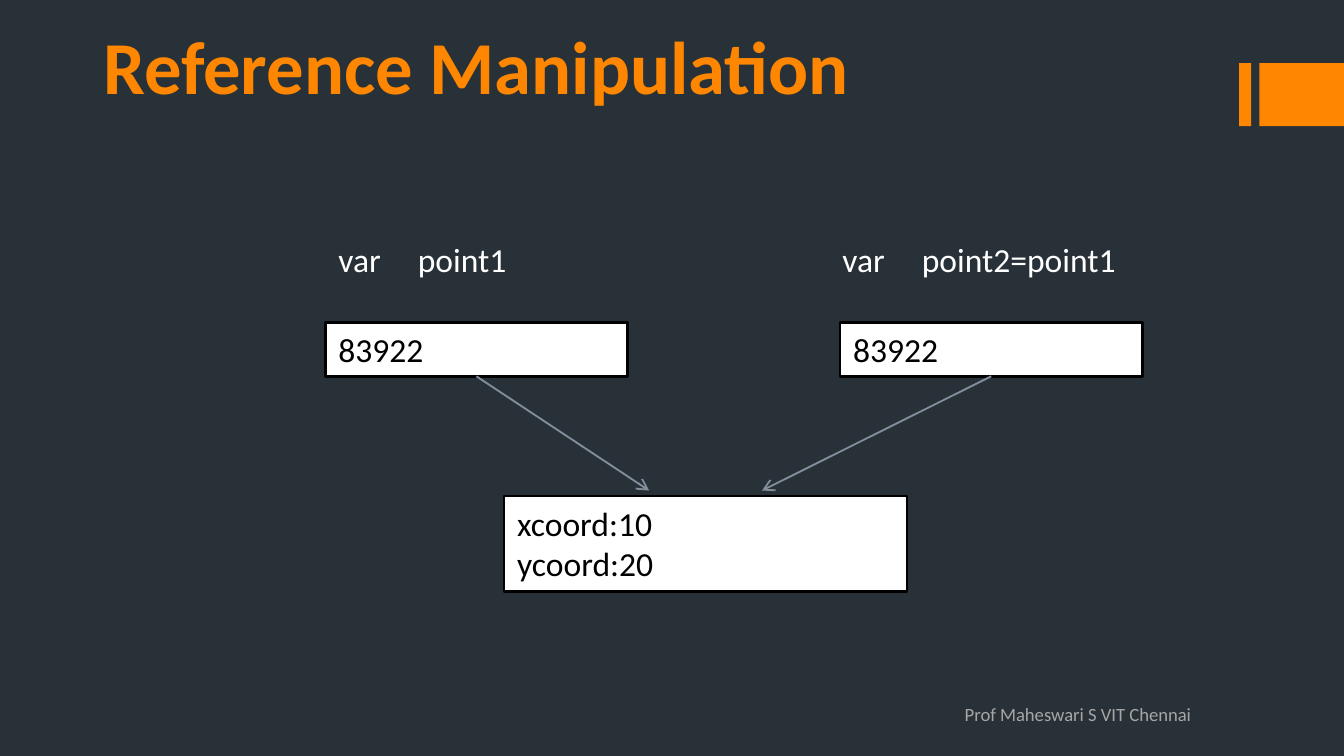
"""Build the slide on reference manipulation."""
from lxml.etree import SubElement
from pptx import Presentation
from pptx.dml.color import RGBColor
from pptx.enum.shapes import MSO_CONNECTOR, MSO_SHAPE
from pptx.enum.text import MSO_ANCHOR, PP_ALIGN
from pptx.oxml.ns import qn
from pptx.util import Inches, Pt

DARK = RGBColor(0x28, 0x31, 0x38)
ORANGE = RGBColor(0xFF, 0x86, 0x00)
WHITE = RGBColor(0xFF, 0xFF, 0xFF)
BLACK = RGBColor(0x00, 0x00, 0x00)
STEEL = RGBColor(0x83, 0x8D, 0x9B)
GREY = RGBColor(0xA6, 0xA6, 0xA6)

FRAME = {
    "word_wrap": True,
    "vertical_anchor": MSO_ANCHOR.TOP,
    "margin_left": Inches(0.1),
    "margin_right": Inches(0.1),
    "margin_top": Inches(0.05),
    "margin_bottom": Inches(0.05),
}
BODY = {"name": "Calibri", "size": Pt(18), "bold": False}
TITLE = BODY | {"size": Pt(40), "bold": True}
FOOT = BODY | {"size": Pt(10)}


def write(shape, lines, color, font=BODY, **frame):
    text = shape.text_frame
    for key, value in (FRAME | frame).items():
        setattr(text, key, value)
    text.text = "\n".join(lines)
    for para in text.paragraphs:
        para.alignment = PP_ALIGN.LEFT
        for run in para.runs:
            for key, value in font.items():
                setattr(run.font, key, value)
            run.font.color.rgb = color


def block(place, fill, edge=None):
    shape = slide.shapes.add_shape(MSO_SHAPE.RECTANGLE, *map(Inches, place))
    shape.shadow.inherit = False
    shape.fill.solid()
    shape.fill.fore_color.rgb = fill
    if edge is None:
        shape.line.fill.background()
    else:
        shape.line.color.rgb = edge
        shape.line.width = Pt(1.5)
    return shape


deck = Presentation()
deck.slide_width = Inches(10)
deck.slide_height = deck.slide_width * 9 // 16
slide = deck.slides.add_slide(deck.slide_layouts[6])
slide.background.fill.solid()
slide.background.fill.fore_color.rgb = DARK

for left, width in [(9.22, 0.09), (9.37, 0.63)]:
    block((left, 0.47, width, 0.47), ORANGE)

title = slide.shapes.add_textbox(Inches(0.67), Inches(0.1), Inches(9), Inches(1.44))
write(title, ["Reference Manipulation"], ORANGE, TITLE)

for name, label_x, box_x, tip_x in [
    ("point1", 2.42, 2.42, 4.83),
    ("point2=point1", 6.17, 6.25, 5.67),
]:
    label = slide.shapes.add_textbox(
        Inches(label_x), Inches(1.73), Inches(2.5), Inches(0.42)
    )
    write(label, [f"var\t{name}"], WHITE)
    props = label.text_frame.paragraphs[0]._p.get_or_add_pPr()
    tabs = SubElement(props, qn("a:tabLst"))
    SubElement(tabs, qn("a:tab"), pos=str(Inches(0.59)), algn="l")

    write(block((box_x, 2.4, 2.25, 0.4), WHITE, BLACK), ["83922"], BLACK)

    arrow = slide.shapes.add_connector(
        MSO_CONNECTOR.STRAIGHT,
        Inches(box_x + 2.25 / 2), Inches(2.8), Inches(tip_x), Inches(3.65),
    )
    arrow.line.color.rgb = STEEL
    arrow.line.width = Pt(1)
    SubElement(arrow.line._get_or_add_ln(), qn("a:tailEnd"), type="arrow")
    SubElement(arrow._element.spPr, qn("a:effectLst"))

point = block((3.75, 3.69, 3, 0.71), WHITE, BLACK)
write(point, ["xcoord:10", "ycoord:20"], BLACK)

foot = slide.shapes.add_textbox(Inches(7.08), Inches(5.23), Inches(2.46), Inches(0.25))
write(foot, ["Prof Maheswari S VIT Chennai"], GREY, FOOT, margin_top=0)

deck.save("out.pptx")
